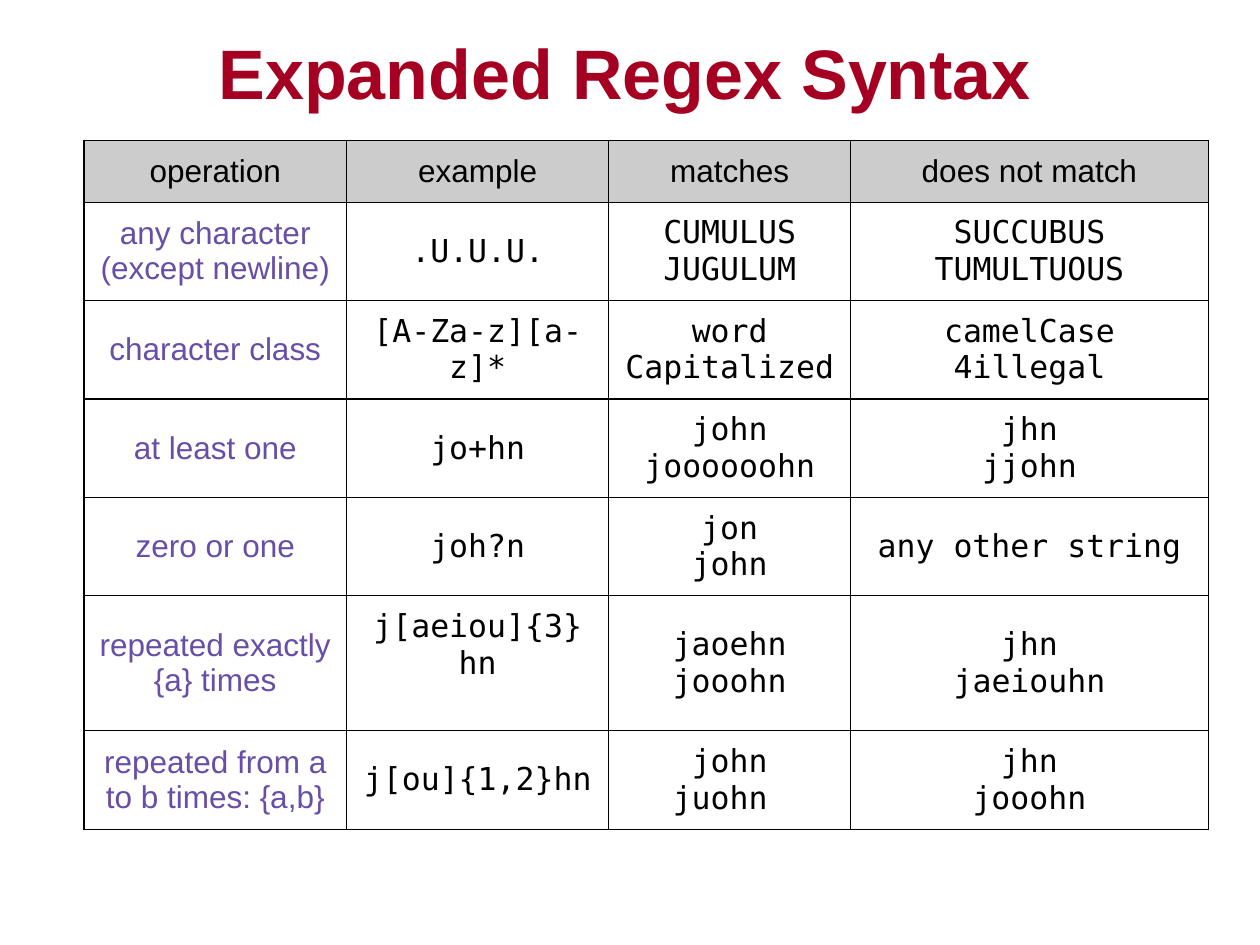
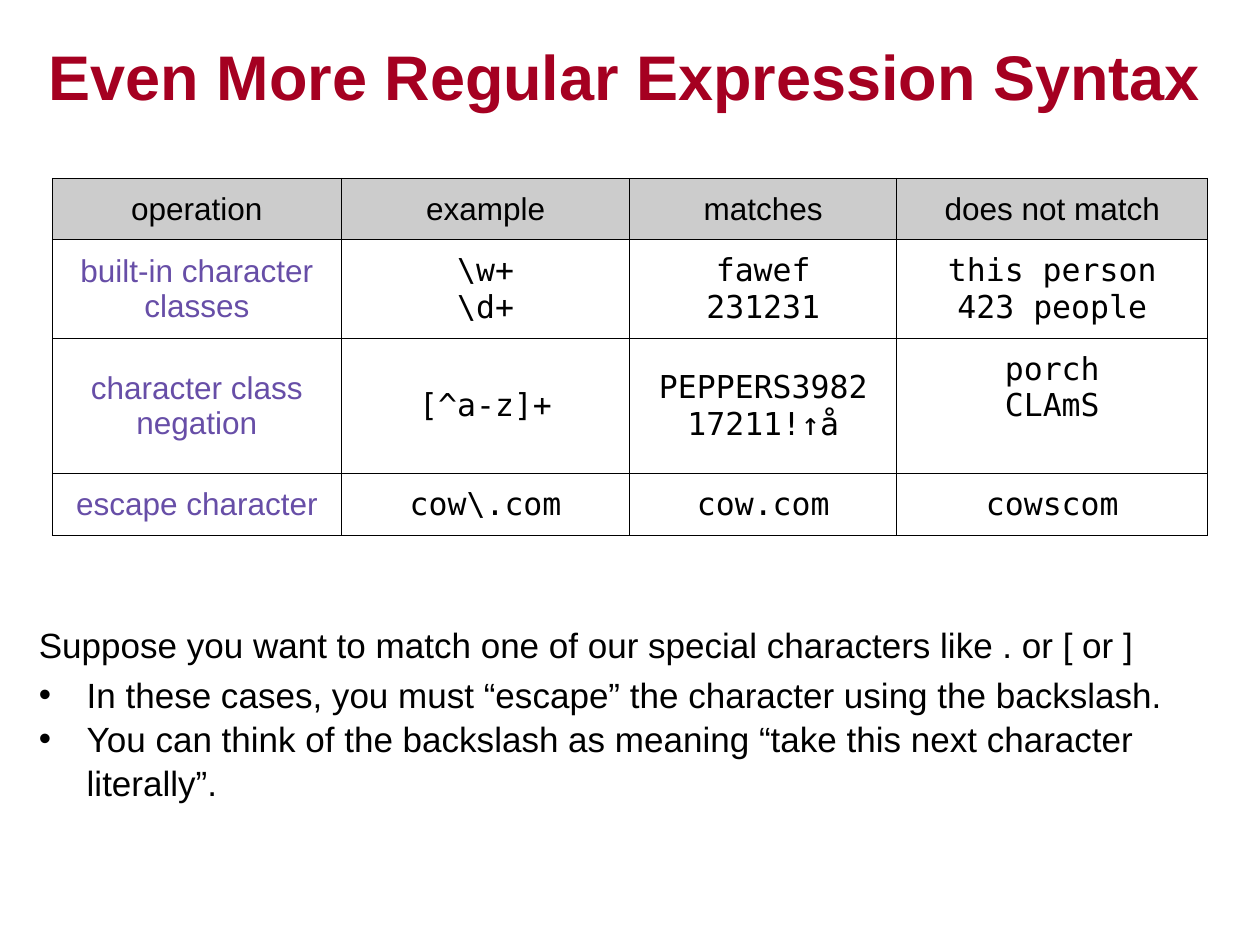
"""Build two slides of regular expression syntax tables."""
from dataclasses import dataclass

from lxml import etree
from pptx import Presentation
from pptx.dml.color import RGBColor
from pptx.enum.text import MSO_ANCHOR, MSO_AUTO_SIZE, PP_ALIGN
from pptx.oxml.ns import qn
from pptx.util import Inches, Pt

CENTER, LEFT = PP_ALIGN.CENTER, PP_ALIGN.LEFT
MIDDLE, BOTTOM, TOP = MSO_ANCHOR.MIDDLE, MSO_ANCHOR.BOTTOM, MSO_ANCHOR.TOP
NO_AUTOFIT = MSO_AUTO_SIZE.NONE
SLIDE_W, SLIDE_H = Inches(10), Inches(7.5)
GRID = SLIDE_W / 240
TITLE_ONLY, TITLE_AND_BODY = 5, 1


@dataclass(frozen=True)
class Theme:
    """Colours, fonts and type sizes of the deck."""
    title: str = "A50021"
    text: str = "000000"
    operation: str = "674EA7"
    header_fill: str = "CCCCCC"
    cell_fill: str = "FFFFFF"
    sans: str = "Arial"
    mono: str = "DejaVu Sans Mono"
    cell_size: float = 18
    body_size: float = 20
    border: float = 0.75


@dataclass(frozen=True)
class Box:
    """A place on the slide, in grid units."""
    left: float
    top: float
    width: float
    height: float


@dataclass(frozen=True)
class SyntaxTable:
    """A syntax table: its corner, column widths, row heights and rows."""
    left: float
    top: float
    cols: tuple[float, ...]
    heights: tuple[float, ...]
    rows: tuple[tuple[str, ...], ...]
    raised: tuple[int, int]


@dataclass(frozen=True)
class SyntaxSlide:
    """A title, its size, a table and the lines below it."""
    title: str
    title_size: float
    table: SyntaxTable
    lead: str = ""
    bullets: tuple[str, ...] = ()


THEME = Theme()
TITLE_BOX = Box(4, 7.2, 230, 16.8)
BODY_BOX = Box(5, 116, 230, 60)
PAD = Inches(0.1)
BULLET_INDENT = Inches(0.38)
ONE, TWO, TALL = 11.7, 18.75, 25.7
RAISE = 7
HEADER = ("operation", "example", "matches", "does not match")

SLIDES = (
    SyntaxSlide("Expanded Regex Syntax", 40, SyntaxTable(
        16, 26.8, (50, 50, 46, 68.2), (ONE, TWO, TWO, TWO, TWO, TALL, TWO), (
            HEADER,
            ("any character (except newline)", ".U.U.U.",
             "CUMULUS\nJUGULUM", "SUCCUBUS\nTUMULTUOUS"),
            ("character class", "[A-Za-z][a-z]*",
             "word\nCapitalized", "camelCase\n4illegal"),
            ("at least one", "jo+hn", "john\njoooooohn", "jhn\njjohn"),
            ("zero or one", "joh?n", "jon\njohn", "any other string"),
            ("repeated exactly {a} times", "j[aeiou]{3}hn",
             "jaoehn\njooohn", "jhn\njaeiouhn"),
            ("repeated from a to b times: {a,b}", "j[ou]{1,2}hn",
             "john\njuohn ", "jhn\njooohn"),
        ), raised=(5, 1))),
    SyntaxSlide("Even More Regular Expression Syntax", 36, SyntaxTable(
        10, 34, (55, 55, 50.8, 59.3), (ONE, TWO, TALL, ONE), (
            HEADER,
            ("built-in character classes", "\\w+\n\\d+",
             "fawef\n231231", "this person\n423 people"),
            ("character class negation", "[^a-z]+",
             "PEPPERS3982\n17211!↑å", "porch\nCLAmS"),
            ("escape character", "cow\\.com", "cow.com", "cowscom"),
        ), raised=(2, 3)),
        "Suppose you want to match one of our special characters like . or [ or ]",
        ("In these cases, you must “escape” the character using the backslash.",
         "You can think of the backslash as meaning “take this next character "
         "literally”.")),
)


def units(n: float) -> int:
    """Turn grid units into a length."""
    return round(n * GRID)


def style_text(tf, font: str, size: float, color: str, align, bold: bool = False) -> None:
    """Format every paragraph and run of a text frame."""
    for p in tf.paragraphs:
        p.alignment = align
        for r in p.runs:
            r.font.name, r.font.size, r.font.bold = font, Pt(size), bold
            r.font.color.rgb = RGBColor.from_string(color)


def place(sp, box: Box, anchor) -> None:
    """Move a placeholder to a box and set its frame."""
    sp.left, sp.top = units(box.left), units(box.top)
    sp.width, sp.height = units(box.width), units(box.height)
    tf = sp.text_frame
    tf.word_wrap, tf.auto_size, tf.vertical_anchor = True, NO_AUTOFIT, anchor
    tf.margin_left = tf.margin_right = tf.margin_top = tf.margin_bottom = PAD


def add_title(s, text: str, size: float) -> None:
    """Fill the title placeholder."""
    sp = s.shapes.title
    place(sp, TITLE_BOX, BOTTOM)
    sp.text_frame.text = text
    style_text(sp.text_frame, THEME.sans, size, THEME.title, CENTER, bold=True)


def set_bullet(p, bullet: str) -> None:
    """Give a paragraph a hanging bullet, or none."""
    pPr = p._p.get_or_add_pPr()
    indent = BULLET_INDENT if bullet else 0
    pPr.set("marL", str(indent))
    pPr.set("indent", str(-indent))
    if bullet:
        etree.SubElement(pPr, qn("a:buChar")).set("char", bullet)
    else:
        etree.SubElement(pPr, qn("a:buNone"))


def add_body(s, lead: str, bullets: tuple[str, ...]) -> None:
    """Fill the body placeholder with a lead line and bullets."""
    sp = s.placeholders[1]
    place(sp, BODY_BOX, TOP)
    tf = sp.text_frame
    tf.text = "\n".join((lead, *bullets))
    style_text(tf, THEME.sans, THEME.body_size, THEME.text, LEFT)
    for i, p in enumerate(tf.paragraphs):
        p.line_spacing = 1.04
        p.space_before = Pt(4 if i < 2 else 0)
        set_bullet(p, "•" if i else "")


def set_borders(cell) -> None:
    """Draw a thin line on each side of a cell."""
    tcPr = cell._tc.get_or_add_tcPr()
    for i, side in enumerate(("lnL", "lnR", "lnT", "lnB")):
        ln = etree.Element(qn(f"a:{side}"), w=str(Pt(THEME.border)))
        fill = etree.SubElement(ln, qn("a:solidFill"))
        etree.SubElement(fill, qn("a:srgbClr")).set("val", THEME.text)
        tcPr.insert(i, ln)


def fill_cell(cell, text: str, row: int, col: int) -> None:
    """Write and format one table cell."""
    cell.text = text
    cell.vertical_anchor = MIDDLE
    cell.margin_left = cell.margin_right = cell.margin_top = cell.margin_bottom = PAD
    cell.fill.solid()
    cell.fill.fore_color.rgb = RGBColor.from_string(
        THEME.cell_fill if row else THEME.header_fill)
    font = THEME.mono if row and col else THEME.sans
    color = THEME.operation if row and not col else THEME.text
    style_text(cell.text_frame, font, THEME.cell_size, color, CENTER)
    set_borders(cell)


def add_syntax_table(s, spec: SyntaxTable) -> None:
    """Draw a syntax table."""
    table = s.shapes.add_table(
        len(spec.rows), len(spec.cols), units(spec.left), units(spec.top),
        units(sum(spec.cols)), units(sum(spec.heights))).table
    table.first_row = table.horz_banding = False
    for column, width in zip(table.columns, spec.cols):
        column.width = units(width)
    for i, (height, texts) in enumerate(zip(spec.heights, spec.rows)):
        table.rows[i].height = units(height)
        for j, text in enumerate(texts):
            fill_cell(table.cell(i, j), text, i, j)
    table.cell(*spec.raised).margin_bottom = PAD + units(RAISE)


def main() -> None:
    """Build and save the deck."""
    prs = Presentation()
    prs.slide_width, prs.slide_height = SLIDE_W, SLIDE_H
    for spec in SLIDES:
        layout = TITLE_AND_BODY if spec.lead else TITLE_ONLY
        s = prs.slides.add_slide(prs.slide_layouts[layout])
        add_title(s, spec.title, spec.title_size)
        if spec.lead:
            add_body(s, spec.lead, spec.bullets)
        add_syntax_table(s, spec.table)
    prs.save("out.pptx")


if __name__ == "__main__":
    main()
